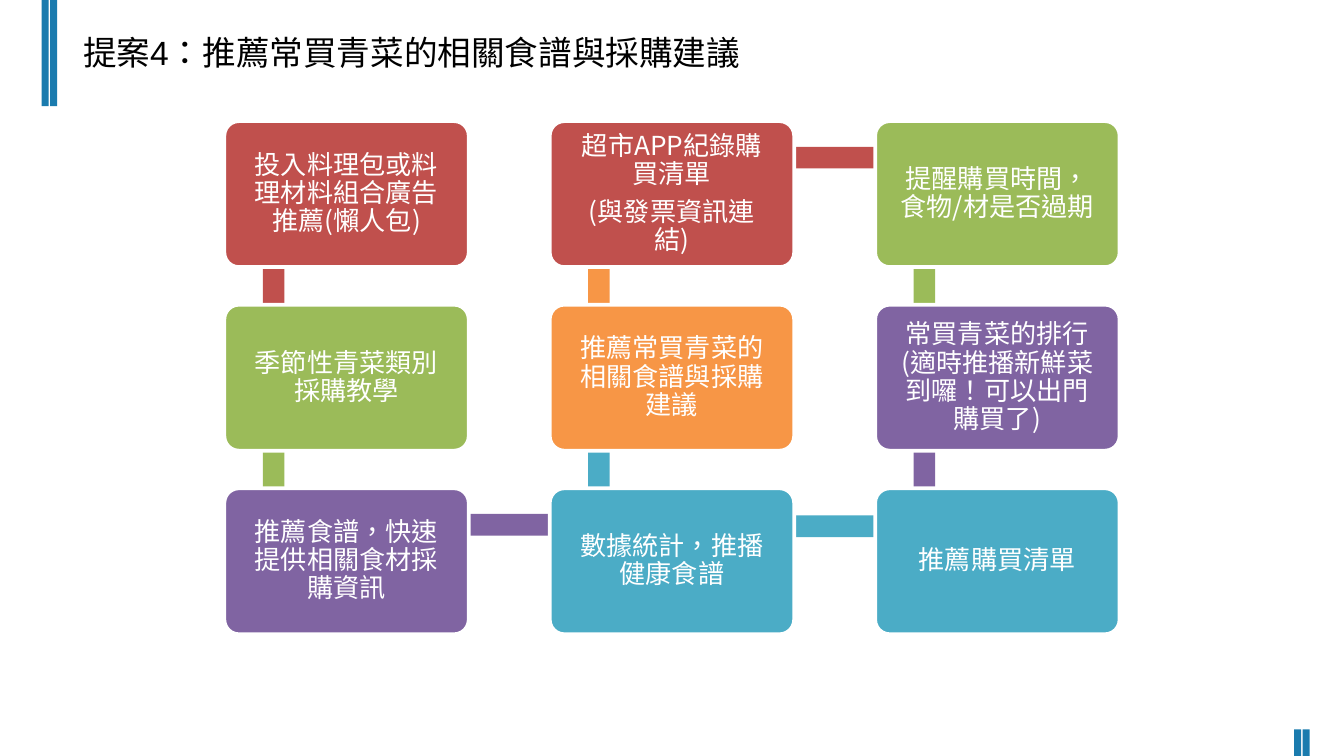
from dataclasses import dataclass

from lxml import etree
from pptx import Presentation
from pptx import util as u
from pptx.dml.color import RGBColor
from pptx.enum import lang, shapes, text
from pptx.oxml.ns import qn

CJK_FONT = "Noto Sans CJK SC"
RED, GREEN, PURPLE = "C0504D", "9BBB59", "8064A2"
TEAL, ORANGE, BLUE = "4BACC6", "F79646", "1A7BAE"
WHITE, BLACK = "FFFFFF", "000000"

# Grid of steps, in centimetres
GRID_LEFT, GRID_TOP = 4.24, 2.29
COLUMN_STEP, ROW_STEP = 6.15, 3.47
BOX_WIDTH, BOX_HEIGHT = 4.62, 2.76
BAR_THICKNESS = 0.41


@dataclass
class Step:
    column: int
    row: int
    color: str
    lines: tuple[str, ...]


@dataclass
class Bar:
    """A link whose centre is offset from the corner of its grid cell."""
    column: int
    row: int
    color: str
    rotation: int = 90
    offset_x: float = 0.93
    offset_y: float = 2.42
    length: float = 3.43


STEPS = [
    Step(0, 0, RED, ("投入料理包或料理材料組合廣告推薦(懶人包)",)),
    Step(0, 1, GREEN, ("季節性青菜類別採購教學",)),
    Step(0, 2, PURPLE, ("推薦食譜，快速提供相關食材採購資訊",)),
    Step(1, 2, TEAL, ("數據統計，推播健康食譜",)),
    Step(1, 1, ORANGE, ("推薦常買青菜的相關食譜與採購建議",)),
    Step(1, 0, RED, ("超市APP紀錄購買清單", "(與發票資訊連結)")),
    Step(2, 0, GREEN, ("提醒購買時間，食物/材是否過期",)),
    Step(2, 1, PURPLE, ("常買青菜的排行(適時推播新鮮菜到囉！可以出門購買了)",)),
    Step(2, 2, TEAL, ("推薦購買清單",)),
]

ACROSS = {"rotation": 0, "offset_x": 4.01, "offset_y": 0.69, "length": 6.12}
BARS = [
    Bar(1, 2, TEAL, 0, 4.94, 0.72, 3.43),
    Bar(0, 0, RED),
    Bar(0, 1, GREEN),
    Bar(0, 2, PURPLE, **ACROSS),
    Bar(1, 1, TEAL, 270),
    Bar(1, 0, ORANGE, 270),
    Bar(1, 0, RED, **ACROSS),
    Bar(2, 0, GREEN),
    Bar(2, 1, PURPLE),
]


def rgb(color: str) -> RGBColor:
    return RGBColor.from_string(color)


def set_values(target, values: dict) -> None:
    for name, value in values.items():
        setattr(target, name, value)


def cell_corner(column: int, row: int) -> tuple[float, float]:
    return GRID_LEFT + column * COLUMN_STEP, GRID_TOP + row * ROW_STEP


def add_block(slide, kind, left: float, top: float, width: float,
              height: float, color: str):
    shape = slide.shapes.add_shape(
        kind, u.Cm(left), u.Cm(top), u.Cm(width), u.Cm(height))
    shape.shadow.inherit = False
    shape.fill.solid()
    shape.fill.fore_color.rgb = rgb(color)
    shape.line.fill.background()
    return shape


def add_text(paragraph, content: str, font_name: str, size: int,
             color: str) -> None:
    font = paragraph.add_run().font
    paragraph.runs[0].text = content
    set_values(font, {"size": u.Pt(size), "name": font_name,
                      "language_id": lang.MSO_LANGUAGE_ID.TRADITIONAL_CHINESE})
    font.color.rgb = rgb(color)
    # East Asian typeface follows the Latin one
    latin = paragraph.runs[0]._r.rPr.find(qn("a:latin"))
    east_asian = etree.Element(qn("a:ea"), typeface=CJK_FONT)
    latin.addnext(east_asian)


def add_bar(slide, bar: Bar) -> None:
    left, top = cell_corner(bar.column, bar.row)
    shape = add_block(slide, shapes.MSO_SHAPE.RECTANGLE,
                      left + bar.offset_x - bar.length / 2,
                      top + bar.offset_y - BAR_THICKNESS / 2,
                      bar.length, BAR_THICKNESS, bar.color)
    shape.rotation = bar.rotation


def add_step(slide, step: Step) -> None:
    left, top = cell_corner(step.column, step.row)
    shape = add_block(slide, shapes.MSO_SHAPE.ROUNDED_RECTANGLE, left, top,
                      BOX_WIDTH, BOX_HEIGHT, step.color)
    shape.adjustments[0] = 0.1
    shape.line.color.rgb = rgb(WHITE)
    shape.line.width = u.Pt(2)
    frame = shape.text_frame
    inset = u.Cm(0.35)
    set_values(frame, {
        "word_wrap": True, "vertical_anchor": text.MSO_ANCHOR.MIDDLE,
        "margin_left": inset, "margin_right": inset,
        "margin_top": inset, "margin_bottom": inset})
    for index, line in enumerate(step.lines):
        paragraph = frame.add_paragraph() if index else frame.paragraphs[0]
        set_values(paragraph, {"alignment": text.PP_ALIGN.CENTER,
                               "line_spacing": 0.9, "space_after": u.Pt(4.9)})
        add_text(paragraph, line, CJK_FONT, 14, WHITE)


def main() -> None:
    presentation = Presentation()
    set_values(presentation, {"slide_width": u.Cm(25.4),
                              "slide_height": u.Cm(14.29)})
    slide = presentation.slides.add_slide(presentation.slide_layouts[6])

    # Double stripes in the top left and bottom right corners
    for left, top, height in ((0.79, 0, 2.01), (24.46, 13.79, 0.5)):
        for offset in (0, 0.16):
            add_block(slide, shapes.MSO_SHAPE.RECTANGLE,
                      left + offset, top, 0.13, height, BLUE)

    # Links lie behind the steps
    for bar in BARS:
        add_bar(slide, bar)
    for step in STEPS:
        add_step(slide, step)

    # Title
    title = slide.shapes.add_textbox(
        u.Cm(1.32), u.Cm(0.48), u.Cm(13.06), u.Cm(1.02))
    title.text_frame.word_wrap = True
    add_text(title.text_frame.paragraphs[0],
             "提案4：推薦常買青菜的相關食譜與採購建議", "Arial", 18, BLACK)

    presentation.save("out.pptx")


if __name__ == "__main__":
    main()
